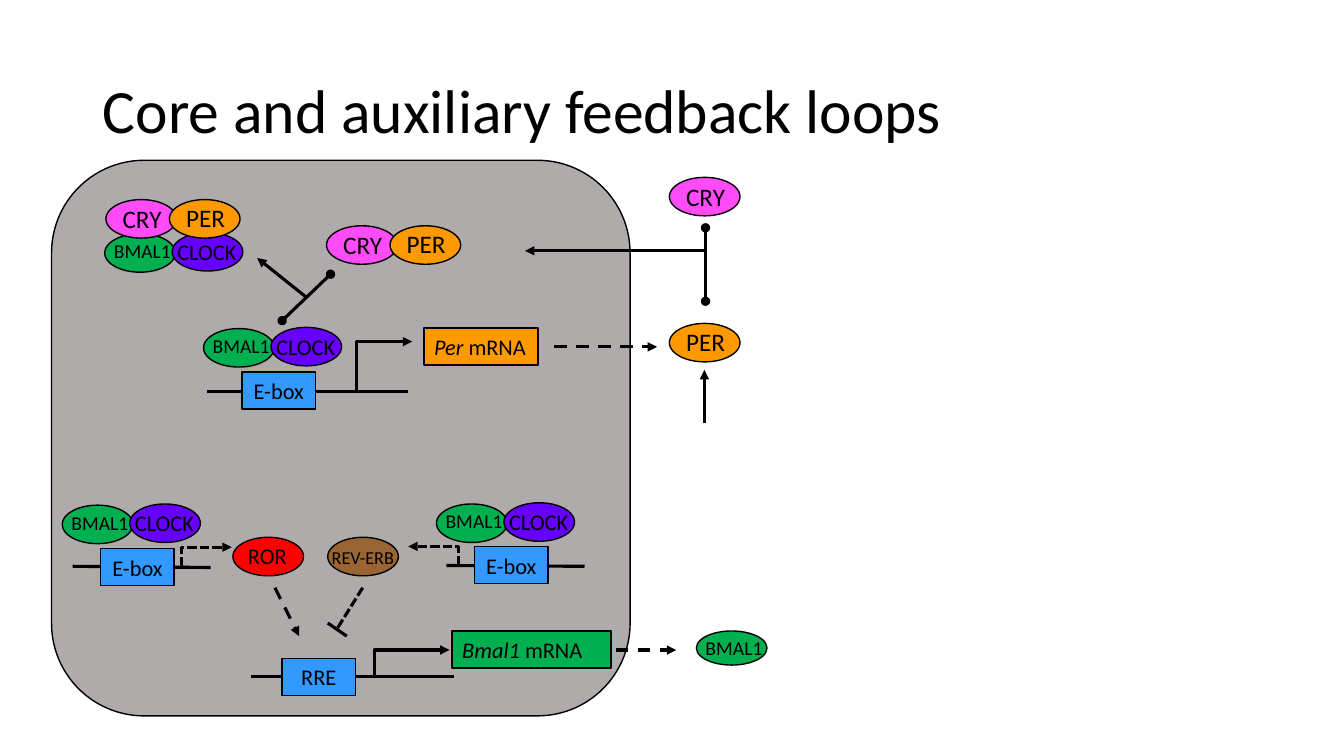
from dataclasses import dataclass

from lxml import etree
from pptx import Presentation
from pptx.dml.color import RGBColor
from pptx.enum.dml import MSO_LINE
from pptx.enum.shapes import MSO_CONNECTOR, MSO_SHAPE
from pptx.enum.text import MSO_ANCHOR, PP_ALIGN
from pptx.oxml.ns import qn
from pptx.util import Cm, Pt

STRAIGHT, ELBOW = MSO_CONNECTOR.STRAIGHT, MSO_CONNECTOR.ELBOW
OVAL, RECT, ROUNDED = MSO_SHAPE.OVAL, MSO_SHAPE.RECTANGLE, MSO_SHAPE.ROUNDED_RECTANGLE
DASH, SHORT_DASH = MSO_LINE.DASH, MSO_LINE.SQUARE_DOT
LEFT, CENTER = PP_ALIGN.LEFT, PP_ALIGN.CENTER
TOP, MIDDLE = MSO_ANCHOR.TOP, MSO_ANCHOR.MIDDLE

FONT = "Calibri"
BLACK, GREY = "000000", "AFABAB"
PINK, ORANGE, GREEN, PURPLE = "FF4CF8", "FF9900", "00B050", "6600FF"
BLUE, RED, BROWN = "3399FF", "FF0000", "996633"
PROTEIN_WIDTH, PROTEIN_HEIGHT = 1.78, 0.97
BOX_WIDTH, BOX_HEIGHT = 1.85, 0.94


@dataclass(frozen=True)
class Protein:
    name: str
    fill: str
    size: float
    label_dx: float
    label_dy: float
    label_width: float
    label_height: float


@dataclass(frozen=True)
class Box:
    runs: tuple  # (text, italic) pairs
    x: float
    y: float
    width: float = BOX_WIDTH
    fill: str = BLUE
    border: float = 1
    align: PP_ALIGN = CENTER


@dataclass(frozen=True)
class Link:
    x1: float
    y1: float
    x2: float
    y2: float
    head: str = ""
    tail: str = ""
    dash: MSO_LINE | None = None
    kind: MSO_CONNECTOR = STRAIGHT


CRY = Protein("CRY", PINK, 18, 0.17, -0.03, 1.98, 1.02)
PER = Protein("PER", ORANGE, 18, 0.17, -0.05, 1.98, 1.02)
BMAL1 = Protein("BMAL1", GREEN, 14, -0.02, 0.01, 2.26, 0.86)
CLOCK = Protein("CLOCK", PURPLE, 16, -0.12, 0.01, 2.24, 0.94)
ROR = Protein("ROR", RED, 16, 0.13, 0, 2.62, 0.94)
REV_ERB = Protein("REV-ERB", BROWN, 13, -0.15, 0.1, 2.62, 0.81)

LINKS = [
    # Core loop
    Link(8.33, 6.91, 7.11, 8.08, head="oval", tail="oval"),
    Link(7.72, 7.49, 6.48, 6.5, tail="triangle"),
    Link(5.21, 9.86, 10.29, 9.86),
    Link(8.97, 9.86, 10.39, 8.61, tail="triangle", kind=ELBOW),
    Link(13.97, 8.74, 16.56, 8.74, tail="triangle", dash=DASH),
    Link(17.78, 5.74, 17.78, 7.59, head="oval", tail="oval"),
    Link(17.78, 6.32, 13.23, 6.32, tail="triangle"),
    Link(17.75, 10.67, 17.75, 9.32, tail="triangle"),
    # Bmal1 transcription
    Link(6.32, 17.04, 11.43, 17.04),
    Link(9.4, 17.04, 11.33, 16.38, tail="triangle", kind=ELBOW),
    Link(15.52, 16.38, 17.04, 16.38, tail="triangle", dash=DASH),
    # REV-ERB inhibition and ROR activation
    Link(8.74, 16.03, 8.26, 15.7),
    Link(9.14, 14.81, 8.51, 15.82, dash=SHORT_DASH),
    Link(6.93, 14.81, 7.54, 16.03, tail="triangle", dash=DASH),
    # Ror and Rev-erb promoters
    Link(1.83, 14.27, 5.31, 14.3),
    Link(4.55, 14.25, 5.84, 13.79, tail="triangle", dash=SHORT_DASH, kind=ELBOW),
    Link(11.25, 14.25, 14.73, 14.27),
    Link(11.58, 14.22, 10.29, 13.77, tail="triangle", dash=SHORT_DASH, kind=ELBOW),
]

E_BOX = (("E-box", False),)
BOXES = [
    Box(E_BOX, 6.1, 9.37),
    Box(E_BOX, 2.54, 13.82),
    Box(E_BOX, 11.96, 13.77),
    Box((("RRE", False),), 7.11, 16.59),
    Box((("Per", True), (" mRNA", False)), 10.69, 8.26, 2.87, ORANGE, 1.5, LEFT),
    Box((("Bmal1", True), (" mRNA", False)), 11.4, 15.9, 3.99, GREEN, 1.5, LEFT),
]

ACTIVATOR_PLACES = [(5.13, 8.28), (2.64, 5.89), (1.57, 12.73), (11, 12.7)]
REPRESSOR_PLACES = [(8.23, 5.69), (2.67, 5.03)]


def color(value: str) -> RGBColor:
    return RGBColor.from_string(value)


def write(frame, runs: tuple, size: float, align=LEFT, anchor=TOP, wrap=True) -> None:
    frame.word_wrap = wrap
    frame.vertical_anchor = anchor
    paragraph = frame.paragraphs[0]
    paragraph.alignment = align
    for text, italic in runs:
        run = paragraph.add_run()
        run.text = text
        run.font.name = FONT
        run.font.size = Pt(size)
        run.font.italic = italic
        run.font.color.rgb = color(BLACK)


def add_text(slide, text: str, size: float, x: float, y: float,
             width: float, height: float, anchor=TOP):
    label = slide.shapes.add_textbox(Cm(x), Cm(y), Cm(width), Cm(height))
    write(label.text_frame, ((text, False),), size, anchor=anchor)
    return label


def add_outlined(slide, preset: MSO_SHAPE, x: float, y: float, width: float,
                 height: float, fill: str, border: float = 1):
    shape = slide.shapes.add_shape(preset, Cm(x), Cm(y), Cm(width), Cm(height))
    shape.shadow.inherit = False
    shape.fill.solid()
    shape.fill.fore_color.rgb = color(fill)
    shape.line.color.rgb = color(BLACK)
    shape.line.width = Pt(border)
    return shape


def add_protein(slide, protein: Protein, x: float, y: float,
                height: float = PROTEIN_HEIGHT) -> None:
    add_outlined(slide, OVAL, x, y, PROTEIN_WIDTH, height, protein.fill)
    add_text(slide, protein.name, protein.size, x + protein.label_dx,
             y + protein.label_dy, protein.label_width, protein.label_height)


def add_box(slide, box: Box) -> None:
    shape = add_outlined(slide, RECT, box.x, box.y, box.width, BOX_HEIGHT,
                         box.fill, box.border)
    write(shape.text_frame, box.runs, 16, box.align, MIDDLE, wrap=box.align == LEFT)


def add_link(slide, link: Link) -> None:
    connector = slide.shapes.add_connector(
        link.kind, Cm(link.x1), Cm(link.y1), Cm(link.x2), Cm(link.y2))
    connector.line.color.rgb = color(BLACK)
    connector.line.width = Pt(2.25)
    if link.dash is not None:
        connector.line.dash_style = link.dash
    properties = connector.element.spPr
    outline = properties.find(qn("a:ln"))
    for tag, end in (("a:headEnd", link.head), ("a:tailEnd", link.tail)):
        if end:
            etree.SubElement(outline, qn(tag), type=end)
    if link.kind == ELBOW:  # turn upwards right after the start
        guides = properties.find(qn("a:prstGeom")).find(qn("a:avLst"))
        etree.SubElement(guides, qn("a:gd"), name="adj1", fmla="val 1900")
    etree.SubElement(properties, qn("a:effectLst"))


def main() -> None:
    deck = Presentation()
    deck.slide_width, deck.slide_height = Cm(33.87), Cm(19.05)
    slide = deck.slides.add_slide(deck.slide_layouts[6])

    # Title
    title = add_text(slide, "Core and auxiliary feedback loops", 44,
                     2.34, 1.02, 29.21, 3.68, MIDDLE)
    title.text_frame.paragraphs[0].line_spacing = 0.9

    # Nucleus, with DNA strands, arrows and gene boxes
    add_outlined(slide, ROUNDED, 1.3, 4.04, 14.58, 14, GREY)
    for link in LINKS:
        add_link(slide, link)
    for box in BOXES:
        add_box(slide, box)

    # Protein pairs
    for x, y in ACTIVATOR_PLACES:
        add_protein(slide, BMAL1, x, y)
        add_protein(slide, CLOCK, x + 1.7, y - 0.03)
    for x, y in REPRESSOR_PLACES:
        add_protein(slide, CRY, x, y)
        add_protein(slide, PER, x + 1.6, y)

    # Single proteins
    add_protein(slide, CRY, 16.87, 4.47)
    add_protein(slide, PER, 16.87, 8.15)
    add_protein(slide, ROR, 5.87, 13.54)
    add_protein(slide, REV_ERB, 8.26, 13.54)
    add_protein(slide, BMAL1, 17.55, 15.9, height=0.86)

    deck.save("out.pptx")


if __name__ == "__main__":
    main()
